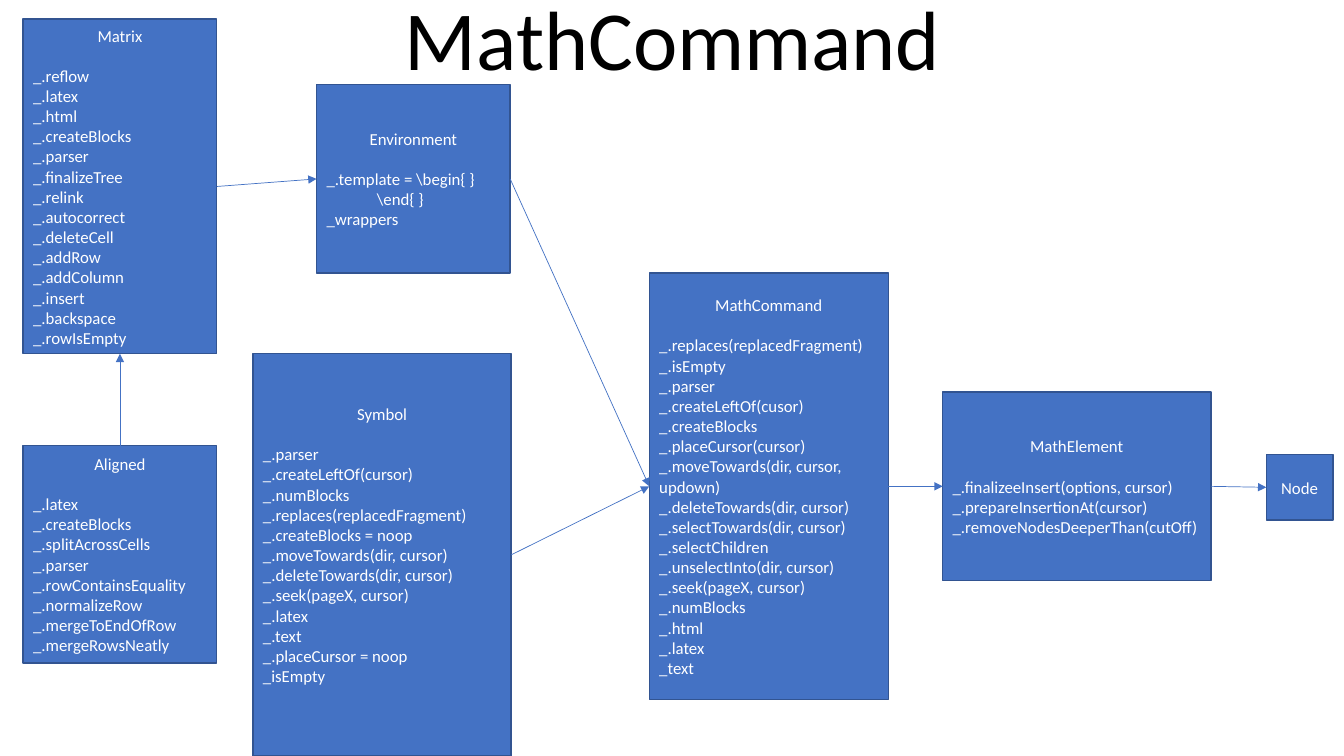
from pptx import Presentation
from pptx.dml.color import RGBColor
from pptx.enum.shapes import MSO_CONNECTOR as Connector, MSO_SHAPE as Shape
from pptx.enum.text import MSO_ANCHOR as Anchor, MSO_AUTO_SIZE as AutoSize, PP_ALIGN as Align
from pptx.oxml.ns import qn
from pptx.util import Inches, Pt
from lxml import etree

COLORS = {"box": "4472C4", "border": "325491", "text": "FFFFFF", "title": "000000"}
FONT = "Calibri"
LINE_HEIGHT = Pt(14.4)
TOP, LEFT, BOTTOM, RIGHT = range(4)  # connection sites of a rectangle

# Class name: (left, top, width, height in inches, members)
CLASSES = {
    "Aligned": (0.23, 4.42, 1.92, 2.16, [
        "_.latex", "_.createBlocks", "_.splitAcrossCells", "_.parser",
        "_.rowContainsEquality", "_.normalizeRow", "_.mergeToEndOfRow",
        "_.mergeRowsNeatly"]),
    "Matrix": (0.23, 0.19, 1.92, 3.32, [
        "_.reflow", "_.latex", "_.html", "_.createBlocks", "_.parser",
        "_.finalizeTree", "_.relink", "_.autocorrect", "_.deleteCell",
        "_.addRow", "_.addColumn", "_.insert", "_.backspace", "_.rowIsEmpty"]),
    "Environment": (3.14, 0.84, 1.92, 1.87, [
        "_.template = \\begin{ }", "\t\\end{ }", "_wrappers"]),
    "MathCommand": (6.44, 2.71, 2.37, 4.23, [
        "_.replaces(replacedFragment)", "_.isEmpty", "_.parser",
        "_.createLeftOf(cusor)", "_.createBlocks", "_.placeCursor(cursor)",
        "_.moveTowards(dir, cursor, updown)", "_.deleteTowards(dir, cursor)",
        "_.selectTowards(dir, cursor)", "_.selectChildren",
        "_.unselectInto(dir, cursor)", "_.seek(pageX, cursor)",
        "_.numBlocks", "_.html", "_.latex", "_text"]),
    "MathElement": (9.35, 3.89, 2.66, 1.87, [
        "_.finalizeeInsert(options, cursor)", "_.prepareInsertionAt(cursor)",
        "_.removeNodesDeeperThan(cutOff)"]),
    "Symbol": (2.51, 3.51, 2.56, 3.99, [
        "_.parser", "_.createLeftOf(cursor)", "_.numBlocks",
        "_.replaces(replacedFragment)", "_.createBlocks = noop",
        "_.moveTowards(dir, cursor)", "_.deleteTowards(dir, cursor)",
        "_.seek(pageX, cursor)", "_.latex", "_.text", "_.placeCursor = noop",
        "_isEmpty"]),
    "Node": (12.56, 4.51, 0.66, 0.65, []),
}

# Subclass, its site, parent class, its site
INHERITANCE = [
    ("Matrix", RIGHT, "Environment", LEFT),
    ("Aligned", TOP, "Matrix", BOTTOM),
    ("Environment", RIGHT, "MathCommand", LEFT),
    ("Symbol", RIGHT, "MathCommand", LEFT),
    ("MathCommand", RIGHT, "MathElement", LEFT),
    ("MathElement", RIGHT, "Node", LEFT),
]


def rgb(name):
    return RGBColor.from_string(COLORS[name])


def set_font(paragraph, size, color):
    paragraph.font.name = FONT
    paragraph.font.size = Pt(size)
    paragraph.font.color.rgb = rgb(color)


prs = Presentation()
prs.slide_width, prs.slide_height = Inches(13.33), Inches(7.5)
slide = prs.slides.add_slide(prs.slide_layouts[5])

title = slide.shapes.title
title.left, title.top = Inches(0.92), Inches(-0.13)
title.width, title.height = Inches(11.5), Inches(1.06)
title.text_frame.text = "MathCommand"
title.text_frame.auto_size = AutoSize.NONE
title.text_frame.vertical_anchor = Anchor.BOTTOM
heading = title.text_frame.paragraphs[0]
heading.alignment = Align.CENTER
heading.line_spacing = 0.9
set_font(heading, 60, "title")

boxes = {}
for class_name, (left, top, width, height, members) in CLASSES.items():
    box = slide.shapes.add_shape(
        Shape.RECTANGLE, Inches(left), Inches(top), Inches(width), Inches(height))
    box.shadow.inherit = False
    box.fill.solid()
    box.fill.fore_color.rgb = rgb("box")
    box.line.color.rgb = rgb("border")
    box.line.width = Pt(1)
    frame = box.text_frame
    frame.word_wrap = True
    frame.vertical_anchor = Anchor.MIDDLE
    frame.text = "\n".join([class_name, *members])
    for paragraph in frame.paragraphs:
        paragraph.alignment = Align.LEFT
        set_font(paragraph, 12, "text")
    frame.paragraphs[0].alignment = Align.CENTER
    if members:
        frame.paragraphs[0].space_after = LINE_HEIGHT
    boxes[class_name] = box

# The Symbol list sits half a line above the middle
boxes["Symbol"].text_frame.margin_bottom = Inches(0.05) + LINE_HEIGHT

for child, child_site, parent, parent_site in INHERITANCE:
    arrow = slide.shapes.add_connector(Connector.STRAIGHT, 0, 0, 0, 0)
    arrow.begin_connect(boxes[child], child_site)
    arrow.end_connect(boxes[parent], parent_site)
    arrow.line.color.rgb = rgb("box")
    arrow.line.width = Pt(0.5)
    etree.SubElement(arrow.line._get_or_add_ln(), qn("a:tailEnd"), type="triangle")
    etree.SubElement(arrow._element.spPr, qn("a:effectLst"))

prs.save("out.pptx")
